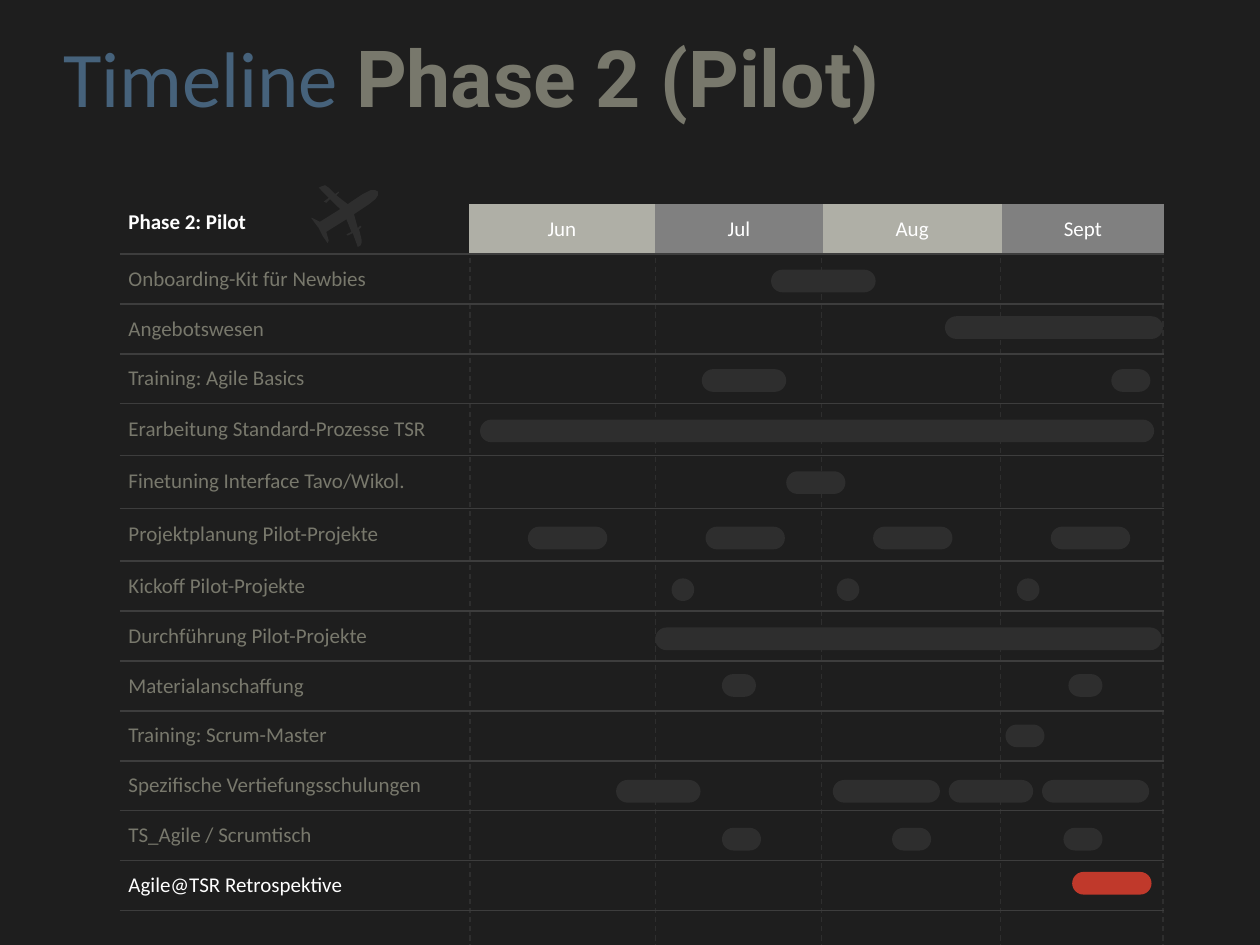
from lxml.etree import SubElement
from pptx import Presentation
from pptx.dml.color import RGBColor
from pptx.enum.dml import MSO_LINE
from pptx.enum.shapes import MSO_CONNECTOR, MSO_SHAPE
from pptx.enum.text import MSO_ANCHOR, PP_ALIGN
from pptx.oxml.ns import qn
from pptx.util import Inches, Pt

COLORS = {
    "background": "1E1E1E", "bar": "2E2E2E", "highlight": "C0392B",
    "rule": "3D3D3D", "blue": "46627B", "olive": "78786C",
    "white": "FFFFFF", "light": "AFAFA6", "gray": "808080",
}
TITLE = [("Timeline ", "Calibri", "blue", False),
         ("Phase 2 (Pilot)", "Roboto", "olive", True)]
PHASE = "Phase 2: Pilot"
MONTHS = [("Jun", "light"), ("Jul", "gray"), ("Aug", "light"), ("Sept", "gray")]
# Task, top of its bars, and (left, width) of each bar
TASKS = [
    ("Onboarding-Kit für Newbies", 2.14, [(6.12, 0.83)]),
    ("Angebotswesen", 2.51, [(7.5, 1.73)]),
    ("Training: Agile Basics", 2.93, [(5.57, 0.67), (8.82, 0.31)]),
    ("Erarbeitung Standard-Prozesse TSR", 3.33, [(3.81, 5.35)]),
    ("Finetuning Interface Tavo/Wikol.", 3.74, [(6.24, 0.47)]),
    ("Projektplanung Pilot-Projekte", 4.18,
     [(4.19, 0.63), (5.6, 0.63), (6.93, 0.63), (8.34, 0.63)]),
    ("Kickoff Pilot-Projekte", 4.59, [(5.33, 0.18), (6.64, 0.18), (8.07, 0.18)]),
    ("Durchführung Pilot-Projekte", 4.98, [(5.2, 4.02)]),
    ("Materialanschaffung", 5.35, [(5.73, 0.27), (8.48, 0.27)]),
    ("Training: Scrum-Master", 5.75, [(7.98, 0.31)]),
    ("Spezifische Vertiefungsschulungen", 6.19,
     [(4.89, 0.67), (6.61, 0.85), (7.53, 0.67), (8.27, 0.85)]),
    ("TS_Agile / Scrumtisch", 6.57, [(5.73, 0.31), (7.08, 0.31), (8.44, 0.31)]),
    ("Agile@TSR Retrospektive", 6.92, [(8.51, 0.63)]),
]
HIGHLIGHT = TASKS[-1][0]
MONTH_LINES = [3.73, 5.2, 6.52, 7.94, 9.23]
COLUMNS = [2.77, 1.48, 1.33, 1.42, 1.29]
TABLE_LEFT, TABLE_TOP, TABLE_HEIGHT = 0.95, 1.62, 5.61
TALL_ROWS = {4: 0.41, 5: 0.42, 6: 0.42}
BAR_HEIGHT = 0.18
# Outline in hundredths of an inch
PLANE = [
    (300, 152), (298, 151), (294, 151), (288, 154), (276, 162), (267, 155),
    (269, 153), (269, 152), (266, 154), (261, 149), (258, 147), (255, 148),
    (253, 149), (261, 157), (257, 160), (259, 161), (262, 158), (270, 166),
    (254, 176), (248, 173), (247, 173), (250, 177), (253, 181), (256, 187),
    (260, 193), (261, 191), (259, 184), (275, 174), (279, 184), (275, 186),
    (276, 187), (280, 185), (284, 196), (286, 195), (287, 193), (287, 190),
    (285, 182), (287, 180), (286, 179), (284, 181), (281, 170), (293, 162),
    (298, 158), (300, 155),
]


def rgb(name):
    return RGBColor.from_string(COLORS[name])


def add_run(paragraph, text, size, font, color, bold=False):
    run = paragraph.add_run()
    run.text = text
    run.font.size = Pt(size)
    run.font.name = font
    run.font.bold = bold
    run.font.color.rgb = rgb(color)


def paint(shape, color):
    shape.shadow.inherit = False
    shape.fill.solid()
    shape.fill.fore_color.rgb = rgb(color)
    shape.line.fill.background()


def set_borders(cell, top):
    """Rule the cell below, and above if top is true; clear its sides."""
    properties = cell._tc.get_or_add_tcPr()
    for side, ruled in (("L", False), ("R", False), ("T", top), ("B", True)):
        border = SubElement(properties, qn(f"a:ln{side}"), w=str(Pt(1)))
        if ruled:
            fill = SubElement(border, qn("a:solidFill"))
            SubElement(fill, qn("a:srgbClr"), val=COLORS["rule"])
        else:
            SubElement(border, qn("a:noFill"))


def fill_cell(cell, text, color, fill=None, bold=False):
    cell.margin_left = cell.margin_right = Inches(0.07)
    cell.margin_top = cell.margin_bottom = Inches(0.04)
    cell.vertical_anchor = MSO_ANCHOR.MIDDLE
    paragraph = cell.text_frame.paragraphs[0]
    paragraph.font.size = Pt(12)
    if text:
        add_run(paragraph, text, 12, "Calibri", color, bold)
    if fill:
        paragraph.alignment = PP_ALIGN.CENTER
        cell.fill.solid()
        cell.fill.fore_color.rgb = rgb(fill)
    else:
        cell.fill.background()


def add_month_lines(slide):
    for x in MONTH_LINES:
        line = slide.shapes.add_connector(
            MSO_CONNECTOR.STRAIGHT, Inches(x), Inches(TABLE_TOP), Inches(x), Inches(7.5))
        line.line.color.rgb = rgb("bar")
        line.line.width = Pt(0.75)
        line.line.dash_style = MSO_LINE.DASH
        SubElement(line._element.spPr, qn("a:effectLst"))


def add_title(slide):
    title = slide.shapes.title
    title.left, title.top, title.width, title.height = map(Inches, (0.5, 0.33, 9, 0.67))
    frame = title.text_frame
    frame.margin_left = frame.margin_right = frame.margin_top = frame.margin_bottom = 0
    frame.vertical_anchor = MSO_ANCHOR.MIDDLE
    frame.word_wrap = True
    paragraph = frame.paragraphs[0]
    paragraph.alignment = PP_ALIGN.LEFT
    paragraph.line_spacing = Pt(45)
    for text, font, color, bold in TITLE:
        add_run(paragraph, text, 45, font, color, bold)


def add_schedule(slide):
    row_count = len(TASKS) + 1
    table = slide.shapes.add_table(
        row_count, len(COLUMNS), Inches(TABLE_LEFT), Inches(TABLE_TOP),
        Inches(sum(COLUMNS)), Inches(TABLE_HEIGHT)).table
    table.first_row = table.horz_banding = False
    for column, width in zip(table.columns, COLUMNS):
        column.width = Inches(width)
    row_height = (TABLE_HEIGHT - sum(TALL_ROWS.values())) / (row_count - len(TALL_ROWS))
    for index, row in enumerate(table.rows):
        row.height = Inches(TALL_ROWS.get(index, row_height))
        for cell in row.cells:
            set_borders(cell, top=index > 0)

    fill_cell(table.cell(0, 0), PHASE, "white", bold=True)
    table.cell(0, 0).vertical_anchor = MSO_ANCHOR.TOP
    for column, (month, fill) in enumerate(MONTHS, 1):
        fill_cell(table.cell(0, column), month, "white", fill)
    for row, (task, _, _) in enumerate(TASKS, 1):
        fill_cell(table.cell(row, 0), task, "white" if task == HIGHLIGHT else "olive")
        for column in range(1, len(COLUMNS)):
            fill_cell(table.cell(row, column), "", "olive")


def add_plane(slide):
    builder = slide.shapes.build_freeform(*PLANE[0], scale=Inches(0.01))
    builder.add_line_segments(PLANE[1:], close=True)
    paint(builder.convert_to_shape(), "bar")


def add_bars(slide):
    for task, top, bars in TASKS:
        for left, width in bars:
            bar = slide.shapes.add_shape(
                MSO_SHAPE.ROUNDED_RECTANGLE, Inches(left), Inches(top),
                Inches(width), Inches(BAR_HEIGHT))
            bar.adjustments[0] = 0.5
            paint(bar, "highlight" if task == HIGHLIGHT else "bar")


def main():
    presentation = Presentation()
    presentation.slide_width, presentation.slide_height = Inches(10), Inches(7.5)
    slide = presentation.slides.add_slide(presentation.slide_layouts[5])
    slide.background.fill.solid()
    slide.background.fill.fore_color.rgb = rgb("background")
    add_month_lines(slide)
    add_title(slide)
    add_schedule(slide)
    add_plane(slide)
    add_bars(slide)
    presentation.save("out.pptx")


if __name__ == "__main__":
    main()
